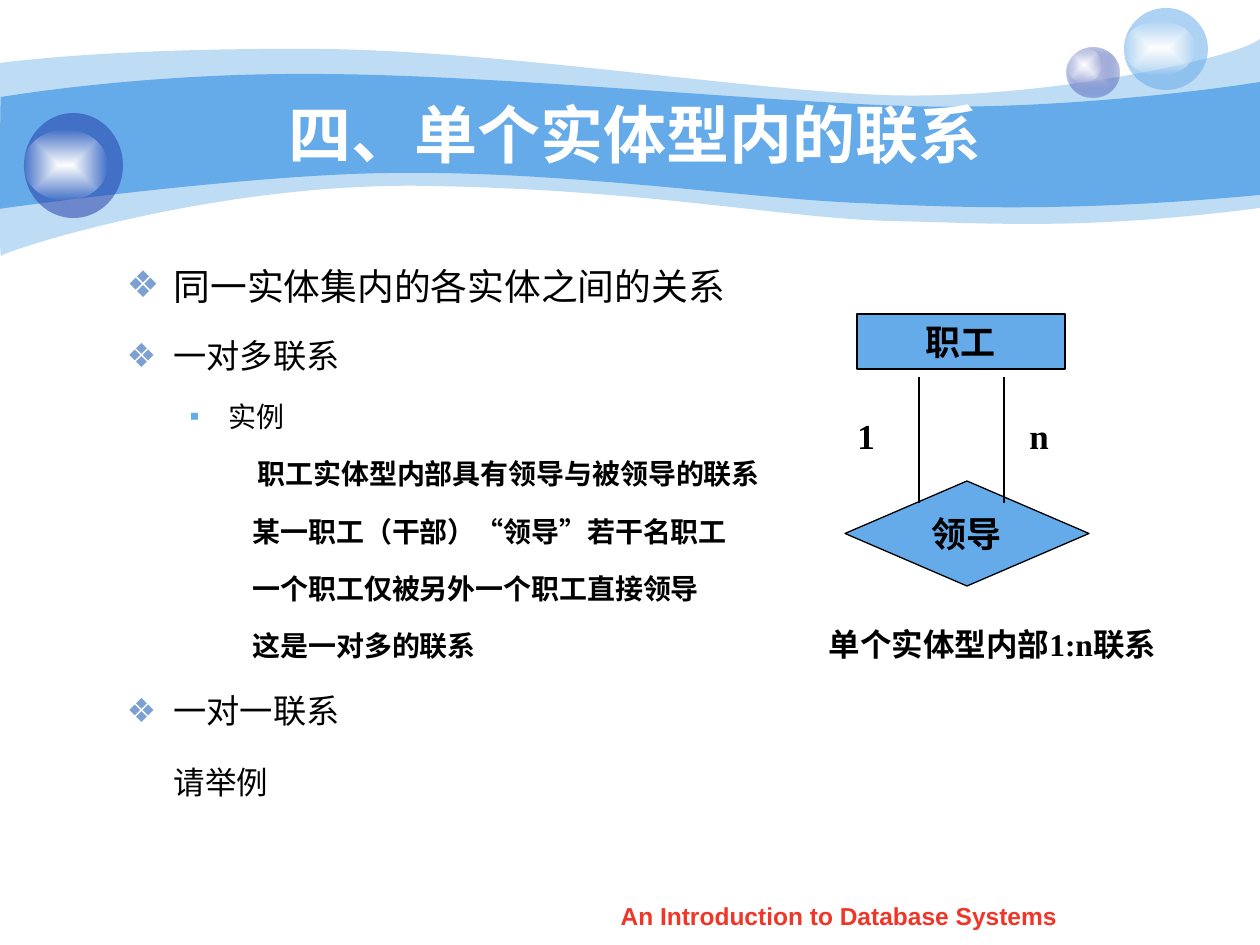
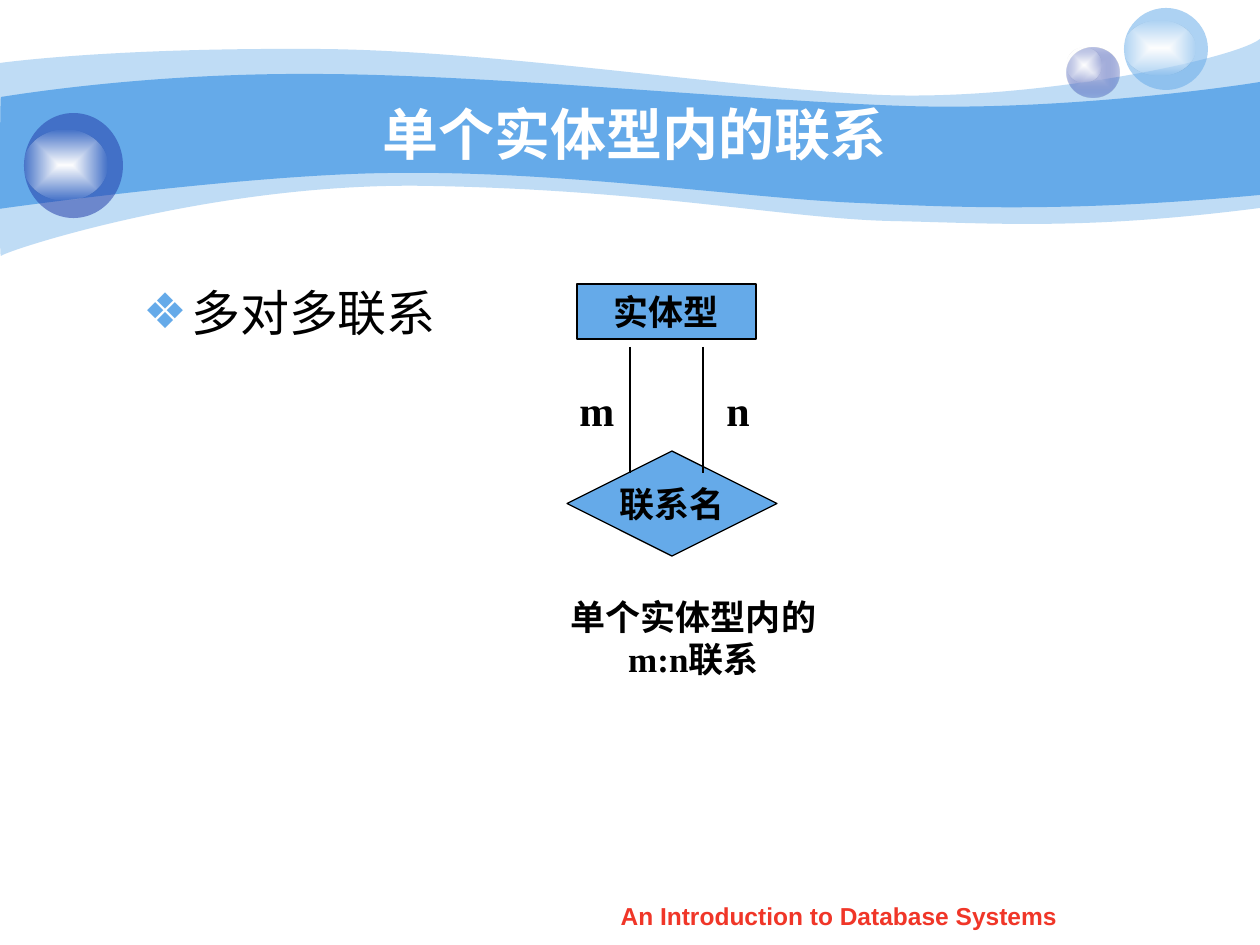
from pptx import Presentation
from pptx.dml.color import RGBColor
from pptx.enum.lang import MSO_LANGUAGE_ID
from pptx.enum.shapes import MSO_CONNECTOR, MSO_SHAPE
from pptx.enum.text import MSO_ANCHOR, MSO_AUTO_SIZE, PP_ALIGN
from pptx.oxml import parse_xml
from pptx.oxml.ns import nsdecls, qn
from pptx.util import Pt

PX = 914400 / 126
LEFT, CENTER = PP_ALIGN.LEFT, PP_ALIGN.CENTER
TOP, MIDDLE = MSO_ANCHOR.TOP, MSO_ANCHOR.MIDDLE
RECT, DIAMOND, OVAL = MSO_SHAPE.RECTANGLE, MSO_SHAPE.DIAMOND, MSO_SHAPE.OVAL
CHINESE = MSO_LANGUAGE_ID.SIMPLIFIED_CHINESE
SANS, SERIF = "Arial", "Times New Roman"
COLORS = {
    "sky": "65AAE9", "navy": "233DA9", "lilac": "C6CCE8", "mark": "7DA0D3",
    "white": "FFFFFF", "glow": "FEFEFE", "black": "000000", "red": "F03628",
}

# Each wave: opacity, start point, then curves (two controls and an end) or lines (an end)
WAVES = [
    (41, (0, 63), [
        (30, 59, 135, 48, 311, 49), (486, 49, 725, 88, 881, 95),
        (1036, 101, 1235, 59, 1260, 39), (1260, 208),
        (1081, 231, 992, 223, 888, 221), (784, 218, 649, 190, 432, 186),
        (217, 181, 5, 251, 1, 256), (-1, 262, 0, 95, 0, 63)]),
    (100, (1, 97), [
        (3, 97, 139, 73, 312, 74), (486, 74, 750, 101, 905, 106),
        (1060, 111, 1230, 87, 1260, 82), (1260, 195),
        (1075, 212, 964, 208, 859, 203), (754, 199, 563, 171, 399, 173),
        (256, 173, -3, 209, -1, 209), (0, 209, 0, 97, 1, 97)]),
]
SHINE = [("white", 100), ("glow", 0)]
BALLS = [
    ((1067, 48, 53, 50), [("lilac", 100), ("navy", 31)]),
    ((1067, 48, 35, 34), SHINE),
    ((1124, 8, 84, 82), [("sky", 53)]),
    ((1124, 21, 71, 54), SHINE),
    ((24, 113, 99, 105), [("navy", 53)]),
    ((24, 130, 83, 70), SHINE),
]

# Row formats: mark, mark colour, level, margin, indent, alignment, line spacing
MAIN = ("❖", "mark", 0, 48, -47, LEFT, 1.5)
SUB = ("▪", "sky", 1, 103, -39, LEFT, 1.5)
LEAD = (None, None, 2, 158, -26, LEFT, 1.5)
CASE = (None, None, 2, 158, -31, LEFT, 1.5)
PLAIN = (None, None, 0, 48, 0, LEFT, 1.5)
MANY = ("❖", "sky", 0, 48, -48, CENTER, 1.0)
SLIDES = [
    {
        "title": ("四、单个实体型内的联系", 36),
        "body": (113, 235, 814, 599),
        "rows": [
            ("同一实体集内的各实体之间的关系", MAIN, 21, SANS, False, 0),
            ("一对多联系", MAIN, 19, SANS, False, 4.8),
            ("实例", SUB, 16, SANS, False, 4),
            ("职工实体型内部具有领导与被领导的联系", LEAD, 16, SANS, True, 4),
            ("某一职工（干部）“领导”若干名职工", CASE, 16, SANS, True, 4),
            ("一个职工仅被另外一个职工直接领导", CASE, 16, SANS, True, 4),
            ("这是一对多的联系", CASE, 16, SANS, True, 4),
            ("一对一联系", MAIN, 19, SERIF, False, 4.8),
            ("请举例", PLAIN, 18, SANS, False, 7.5),
        ],
        "top": 314,
        "entity": ("职工", 857, 208),
        "link": ("领导", 845, 244),
        "lines": (919, 1004),
        "ends": [("1", 845), ("n", 1017)],
        "end": (62, 20),
        "caption": ("单个实体型内部1:n联系", 809, 367, 18),
    },
    {
        "title": ("单个实体型内的联系", 32),
        "body": (106, 276, 367, 142),
        "rows": [("多对多联系", MANY, 28, SERIF, False, 0)],
        "top": 284,
        "entity": ("实体型", 577, 179),
        "link": ("联系名", 567, 210),
        "lines": (630, 703),
        "ends": [("m", 567), ("n", 714)],
        "end": (53, 24),
        "caption": ("单个实体型内的m:n联系", 536, 315, 20),
    },
]


def paint(shape, stops):
    """Fill with (colour, opacity) stops, one for solid, and drop line and shadow."""
    tints = [f'<a:srgbClr val="{COLORS[name]}"><a:alpha val="{part * 1000}"/></a:srgbClr>'
             for name, part in stops]
    if len(tints) == 1:
        xml = f'<a:solidFill {nsdecls("a")}>{tints[0]}</a:solidFill>'
    else:
        marks = "".join(f'<a:gs pos="{i * 100000}">{tint}</a:gs>' for i, tint in enumerate(tints))
        xml = (f'<a:gradFill {nsdecls("a")}><a:gsLst>{marks}</a:gsLst><a:path path="rect">'
               '<a:fillToRect l="50000" t="50000" r="50000" b="50000"/></a:path></a:gradFill>')
    shape.shadow.inherit = False
    shape.line.fill.background()
    shape.element.spPr.insert(2, parse_xml(xml))


def write(para, text, size, font=SERIF, color="black", bold=True, align=CENTER):
    para.alignment = align
    run = para.add_run()
    run.text = text
    look = {"size": Pt(size), "name": font, "bold": bold, "language_id": CHINESE}
    for key, value in look.items():
        setattr(run.font, key, value)
    run.font.color.rgb = RGBColor.from_string(COLORS[color])


deck = Presentation()
deck.slide_width, deck.slide_height = round(1260 * PX), round(945 * PX)
layout = deck.slide_layouts[1]
slides = [deck.slides.add_slide(layout) for _ in SLIDES]

# Waves and balls, moved to the master that all slides share
decor = []
for part, start, pieces in WAVES:
    points = [(piece[i], piece[i + 1]) for piece in pieces for i in range(0, len(piece), 2)]
    pen = slides[0].shapes.build_freeform(*start, scale=PX)
    pen.add_line_segments(points, close=True)
    wave = pen.convert_to_shape()
    # Join each run of three segments into one Bezier curve
    parts = iter(list(wave.element.iter(qn("a:lnTo"))))
    for piece in pieces:
        curve = next(parts)
        if len(piece) == 6:
            curve.tag = qn("a:cubicBezTo")
            for _ in range(2):
                extra = next(parts)
                curve.append(extra[0])
                extra.getparent().remove(extra)
    paint(wave, [("sky", part)])
    decor.append(wave)
for box, stops in BALLS:
    ball = slides[0].shapes.add_shape(OVAL, *[round(v * PX) for v in box])
    paint(ball, stops)
    decor.append(ball)
for shape in decor:
    deck.slide_master.shapes.element.append(shape.element)

for slide, data in zip(slides, SLIDES):
    shapes = slide.shapes
    title, body = shapes.title, slide.placeholders[1]
    for holder, box, anchor in [(title, (126, 94, 1018, 78), MIDDLE), (body, data["body"], TOP)]:
        places = zip(("left", "top", "width", "height"), box)
        for key, value in places:
            setattr(holder, key, round(value * PX))
        frame = holder.text_frame
        frame.auto_size, frame.vertical_anchor = MSO_AUTO_SIZE.NONE, anchor
    name, size = data["title"]
    write(title.text_frame.paragraphs[0], name, size, SANS, "white")

    frame = body.text_frame
    for i, (text, form, size, font, bold, before) in enumerate(data["rows"]):
        mark, tint, level, margin, indent, align, spacing = form
        para = frame.add_paragraph() if i else frame.paragraphs[0]
        para.level, para.line_spacing, para.space_before = level, spacing, Pt(before)
        props = para._p.get_or_add_pPr()
        props.set("marL", str(round(margin * PX)))
        props.set("indent", str(round(indent * PX)))
        if mark:
            props.append(parse_xml(f'<a:buClr {nsdecls("a")}><a:srgbClr val="{COLORS[tint]}"/></a:buClr>'))
            props.append(parse_xml(f'<a:buChar {nsdecls("a")} char="{mark}"/>'))
        else:
            props.append(parse_xml(f'<a:buNone {nsdecls("a")}/>'))
        write(para, text, size, font, bold=bold, align=align)

    # Entity box over relation diamond, joined by two lines
    top = data["top"]
    for kind, (text, left, width), y, height in [
            (RECT, data["entity"], top, 55), (DIAMOND, data["link"], top + 167, 105)]:
        node = shapes.add_shape(kind, *[round(v * PX) for v in (left, y, width, height)])
        node.shadow.inherit = False
        node.fill.solid()
        node.fill.fore_color.rgb = RGBColor.from_string(COLORS["sky"])
        node.line.color.rgb = RGBColor.from_string(COLORS["black"])
        node.line.width = Pt(0.75)
        node.text_frame.word_wrap = kind == RECT
        node.text_frame.vertical_anchor = MIDDLE
        write(node.text_frame.paragraphs[0], text, 20)
    for x in data["lines"]:
        line = shapes.add_connector(MSO_CONNECTOR.STRAIGHT, *[
            round(v * PX) for v in (x, top + 63, x, top + 189)])
        line.line.color.rgb = RGBColor.from_string(COLORS["black"])
        line.line.width = Pt(0.75)
        line.element.spPr.append(parse_xml(f'<a:effectLst {nsdecls("a")}/>'))

    width, size = data["end"]
    notes = [((x, top + 94, width, 59), text, size, SERIF, "black", LEFT)
             for text, x in data["ends"]]
    text, left, width, size = data["caption"]
    notes.append(((left, top + 305, width, 92), text, size, SERIF, "black", CENTER))
    notes.append(((432, 895, 814, 44), "An Introduction to Database Systems", 14, SANS, "red", CENTER))
    for box, text, size, font, color, align in notes:
        note = shapes.add_textbox(*[round(v * PX) for v in box])
        note.text_frame.word_wrap = True
        write(note.text_frame.paragraphs[0], text, size, font, color, align=align)

deck.save("out.pptx")
